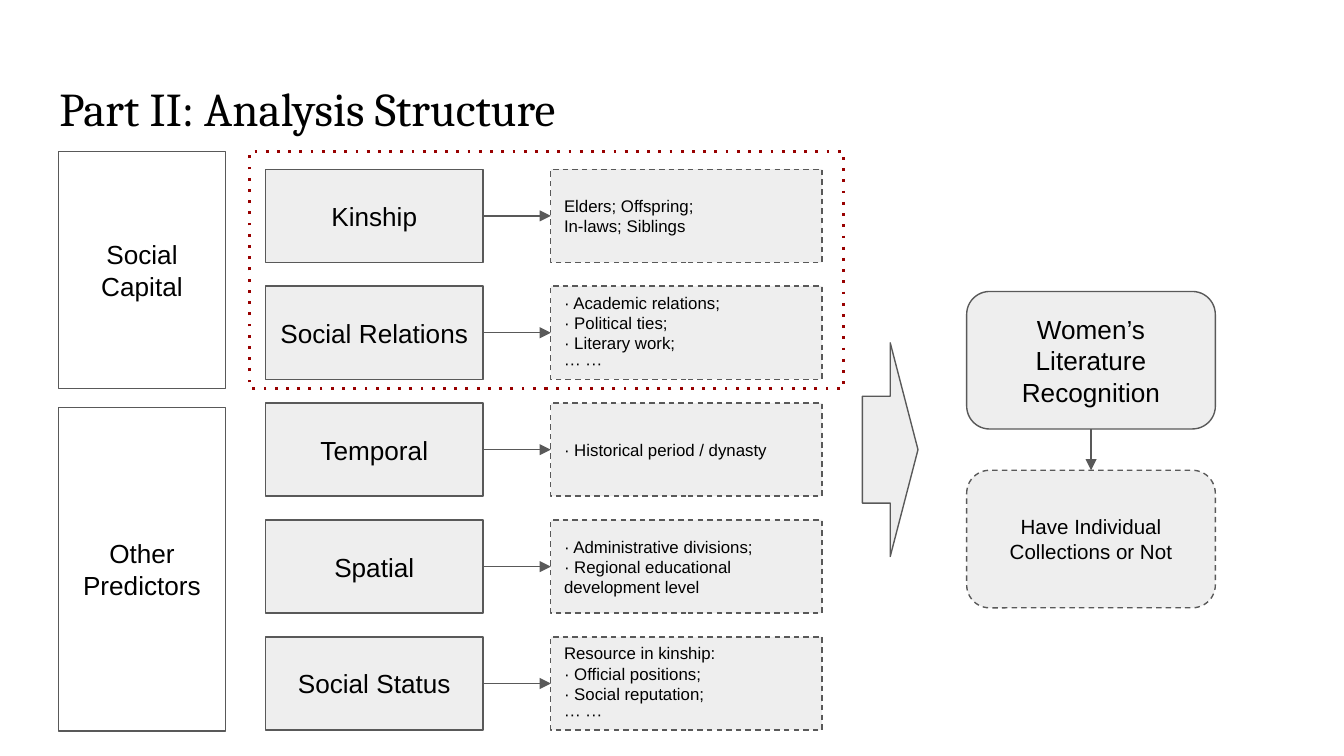
from lxml import etree
from pptx import Presentation
from pptx.dml.color import RGBColor
from pptx.enum import dml, shapes, text
from pptx.oxml import ns
from pptx.util import Cm, Pt

TITLE = "Part II: Analysis Structure"
FACTORS = [
    ("Kinship", ["Elders; Offspring;", "In-laws; Siblings"]),
    ("Social Relations", ["· Academic relations;", "· Political ties;",
                          "· Literary work;", "··· ···"]),
    ("Temporal", ["· Historical period / dynasty"]),
    ("Spatial", ["· Administrative divisions;",
                 "· Regional educational development level"]),
    ("Social Status", ["Resource in kinship:", "· Official positions;",
                       "· Social reputation;", "··· ···"]),
]
GROUPS = [("Social Capital", 2.87, 4.47), ("Other Predictors", 7.7, 6.12)]
OUTCOME = "Women’s Literature Recognition"
MEASURE = "Have Individual Collections or Not"

THEME = {
    "ink": RGBColor.from_string("000000"),
    "panel": RGBColor.from_string("EEEEEE"),
    "edge": RGBColor.from_string("595959"),
    "accent": RGBColor.from_string("980000"),
    "title_font": "Cambria", "body_font": "Arial",
    "title": Pt(25.2), "label": Pt(14), "measure": Pt(11), "detail": Pt(9),
    "thin": Pt(0.75), "thick": Pt(1.5),
}
FRAME = {
    "word_wrap": True, "auto_size": text.MSO_AUTO_SIZE.NONE,
    "margin_left": Cm(0.25), "margin_right": Cm(0.25),
    "margin_top": Cm(0.25), "margin_bottom": Cm(0.25),
}
RECT = shapes.MSO_SHAPE.RECTANGLE
ROUNDED = shapes.MSO_SHAPE.ROUNDED_RECTANGLE
CENTER, LEFT = text.PP_ALIGN.CENTER, text.PP_ALIGN.LEFT
TOP_SITE, LEFT_SITE, BOTTOM_SITE, RIGHT_SITE = range(4)

ROW_TOP, ROW_STEP, ROW_HEIGHT = 3.2, 2.21, 1.76
LABEL_X, LABEL_W = 5.02, 4.11
DETAIL_X, DETAIL_W = 10.41, 5.13
OUTCOME_X, OUTCOME_W, OUTCOME_H = 18.27, 4.7, 2.6


def write(frame, lines, font, size, align):
    for name, value in {**FRAME, "vertical_anchor": text.MSO_ANCHOR.MIDDLE}.items():
        setattr(frame, name, value)
    style = {"name": font, "size": size}
    for i, line in enumerate(lines):
        paragraph = frame.paragraphs[0] if i == 0 else frame.add_paragraph()
        paragraph.text, paragraph.alignment = line, align
        for name, value in style.items():
            setattr(paragraph.font, name, value)
        paragraph.font.color.rgb = THEME["ink"]


def add_box(slide, kind, place, lines=(), size="label", align=CENTER,
            fill="panel", edge="edge", width="thin", dash=None):
    box = slide.shapes.add_shape(kind, *map(Cm, place))
    box.shadow.inherit = False
    if fill:
        box.fill.solid()
        box.fill.fore_color.rgb = THEME[fill]
    else:
        box.fill.background()
    box.line.color.rgb = THEME[edge]
    box.line.width = THEME[width]
    if dash:
        box.line.dash_style = dml.MSO_LINE.DASH
        box.line._ln.find(ns.qn("a:prstDash")).set("val", dash)
    if lines:
        write(box.text_frame, lines, THEME["body_font"], THEME[size], align)
    return box


def add_arrow(slide, start, start_site, end, end_site):
    """Glue an arrow between connection sites of two boxes."""
    arrow = slide.shapes.add_connector(shapes.MSO_CONNECTOR.STRAIGHT, 0, 0, 0, 0)
    arrow.begin_connect(start, start_site)
    arrow.end_connect(end, end_site)
    arrow.line.color.rgb = THEME["edge"]
    arrow.line.width = THEME["thin"]
    etree.SubElement(arrow.line._ln, ns.qn("a:tailEnd"), type="triangle")
    etree.SubElement(arrow._element.spPr, ns.qn("a:effectLst"))


def main():
    deck = Presentation()
    deck.slide_width, deck.slide_height = Cm(25.4), Cm(14.29)
    slide = deck.slides.add_slide(deck.slide_layouts[5])

    title = slide.shapes.title
    title.left, title.top, title.width, title.height = map(Cm, (0.87, 1.24, 23.67, 1.6))
    write(title.text_frame, [TITLE], THEME["title_font"], THEME["title"], LEFT)

    for row, (factor, details) in enumerate(FACTORS):
        top = ROW_TOP + row * ROW_STEP
        label = add_box(slide, RECT, (LABEL_X, top, LABEL_W, ROW_HEIGHT), [factor])
        detail = add_box(slide, RECT, (DETAIL_X, top, DETAIL_W, ROW_HEIGHT), details,
                         size="detail", align=LEFT, dash="dash")
        add_arrow(slide, label, RIGHT_SITE, detail, LEFT_SITE)

    add_box(slide, shapes.MSO_SHAPE.RIGHT_ARROW, (16.3, 6.48, 1.05, 4.04))
    outcome = add_box(slide, ROUNDED, (OUTCOME_X, 5.51, OUTCOME_W, OUTCOME_H), [OUTCOME])
    measure = add_box(slide, ROUNDED, (OUTCOME_X, 8.89, OUTCOME_W, OUTCOME_H), [MEASURE],
                      size="measure", dash="dash")
    add_arrow(slide, outcome, BOTTOM_SITE, measure, TOP_SITE)

    add_box(slide, RECT, (4.72, 2.87, 11.23, 4.47), fill=None,
            edge="accent", width="thick", dash="dot")
    for group, top, height in GROUPS:
        add_box(slide, RECT, (1.11, top, 3.15, height), [group], fill=None)

    deck.save("out.pptx")


if __name__ == "__main__":
    main()
